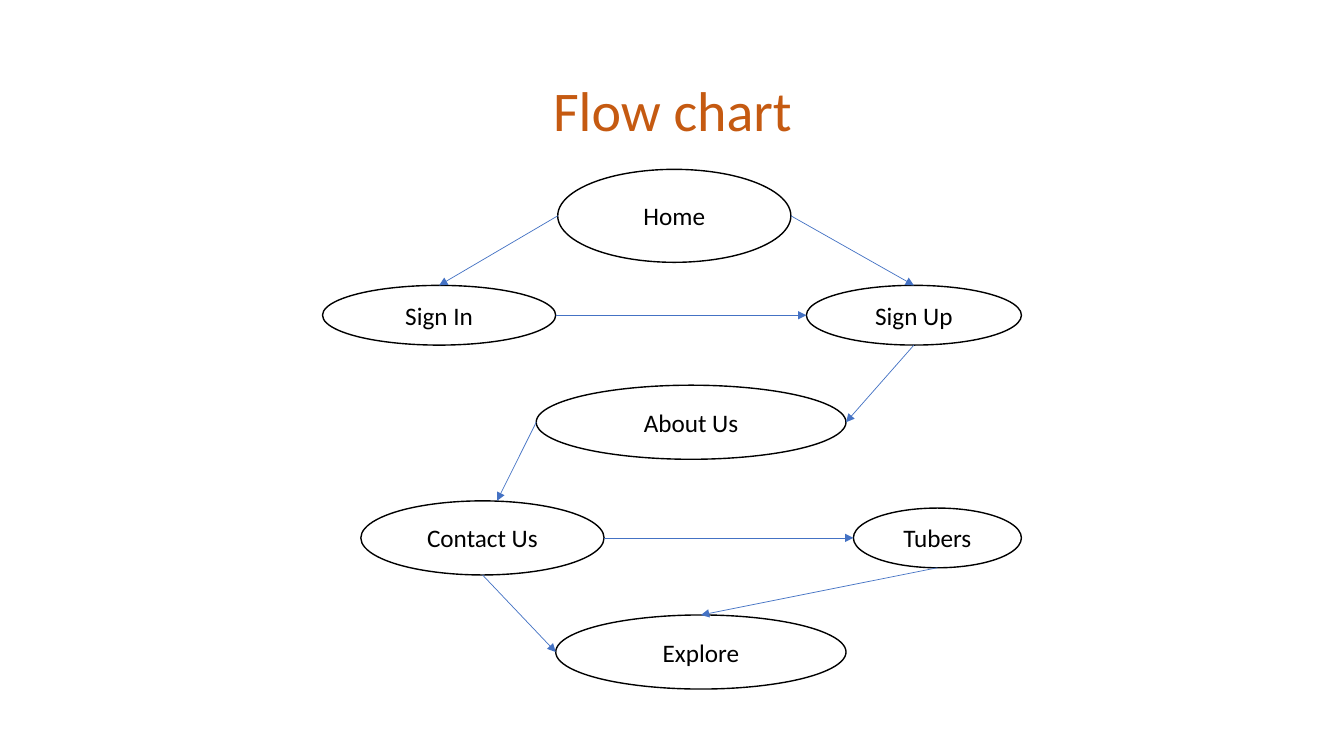
from lxml.etree import SubElement
from pptx import Presentation
from pptx.dml.color import RGBColor
from pptx.enum.shapes import MSO_CONNECTOR as Connector, MSO_SHAPE as Shape
from pptx.enum.text import MSO_ANCHOR as Anchor, PP_ALIGN as Align
from pptx.oxml.ns import qn
from pptx.util import Inches, Pt

WHITE = RGBColor(0xFF, 0xFF, 0xFF)
BLACK = RGBColor(0x00, 0x00, 0x00)
ORANGE = RGBColor(0xC5, 0x5A, 0x11)
BLUE = RGBColor(0x44, 0x72, 0xC4)

presentation = Presentation()
presentation.slide_width = Inches(13.33)
presentation.slide_height = Inches(7.5)
COLUMN = presentation.slide_width / 100
ROW = presentation.slide_height / 100


def write(shape, text, size=18, color=BLACK, spacing=None):
    """Put one centred, formatted paragraph into a shape."""
    frame = shape.text_frame
    frame.word_wrap = True
    frame.vertical_anchor = Anchor.MIDDLE
    paragraph = frame.paragraphs[0]
    paragraph.alignment = Align.CENTER
    paragraph.line_spacing = spacing
    run = paragraph.add_run()
    run.text = text
    run.font.name = "Calibri"
    run.font.size = Pt(size)
    run.font.color.rgb = color


def site(shape, share_x, share_y):
    """Return the point at the given shares of a shape's width and height."""
    return (int(shape.left + share_x * shape.width),
            int(shape.top + share_y * shape.height))


slide = presentation.slides.add_slide(presentation.slide_layouts[5])
title = slide.shapes.title
title.left, title.top = int(6.9 * COLUMN), int(5.33 * ROW)
title.width, title.height = int(86.25 * COLUMN), int(19.33 * ROW)
write(title, "Flow chart", size=40, color=ORANGE, spacing=0.9)

# Pages: name, left column, centre row, columns wide, rows high
TALL, MEDIUM, LOW = 12.3, 9.8, 7.9
PAGES = [
    ("Home", 41.5, 28.55, 17.35, TALL),
    ("Sign In", 24, 41.7, 17.35, LOW),
    ("Sign Up", 60, 41.7, 16, LOW),
    ("About Us", 39.9, 55.85, 23.05, MEDIUM),
    ("Contact Us", 26.85, 71.15, 18.1, MEDIUM),
    ("Tubers", 63.5, 71.15, 12.5, LOW),
    ("Explore", 41.35, 86.25, 21.6, MEDIUM),
]
ellipses = {}
for name, left, centre, width, height in PAGES:
    ellipse = slide.shapes.add_shape(
        Shape.OVAL, int(left * COLUMN), int((centre - height / 2) * ROW),
        int(width * COLUMN), int(height * ROW))
    ellipse.shadow.inherit = False
    ellipse.fill.solid()
    ellipse.fill.fore_color.rgb = WHITE
    ellipse.line.color.rgb = BLACK
    ellipse.line.width = Pt(1)
    write(ellipse, name)
    ellipses[name] = ellipse

# Arrows: start page and site, end page and site
TOP, BOTTOM, LEFT, RIGHT = (0.5, 0), (0.5, 1), (0, 0.5), (1, 0.5)
TOP_RIGHT_OF_CENTRE = (0.56, 0)
ARROWS = [
    ("Home", LEFT, "Sign In", TOP),
    ("Sign In", RIGHT, "Sign Up", LEFT),
    ("Home", RIGHT, "Sign Up", TOP),
    ("Sign Up", BOTTOM, "About Us", RIGHT),
    ("About Us", LEFT, "Contact Us", TOP_RIGHT_OF_CENTRE),
    ("Contact Us", RIGHT, "Tubers", LEFT),
    ("Tubers", BOTTOM, "Explore", TOP),
    ("Contact Us", BOTTOM, "Explore", LEFT),
]
for start, start_site, end, end_site in ARROWS:
    arrow = slide.shapes.add_connector(
        Connector.STRAIGHT, *site(ellipses[start], *start_site),
        *site(ellipses[end], *end_site))
    arrow.line.color.rgb = BLUE
    arrow.line.width = Pt(0.5)
    SubElement(arrow.line._get_or_add_ln(), qn("a:tailEnd"), type="triangle")
    SubElement(arrow._element.spPr, qn("a:effectLst"))

presentation.save("out.pptx")
